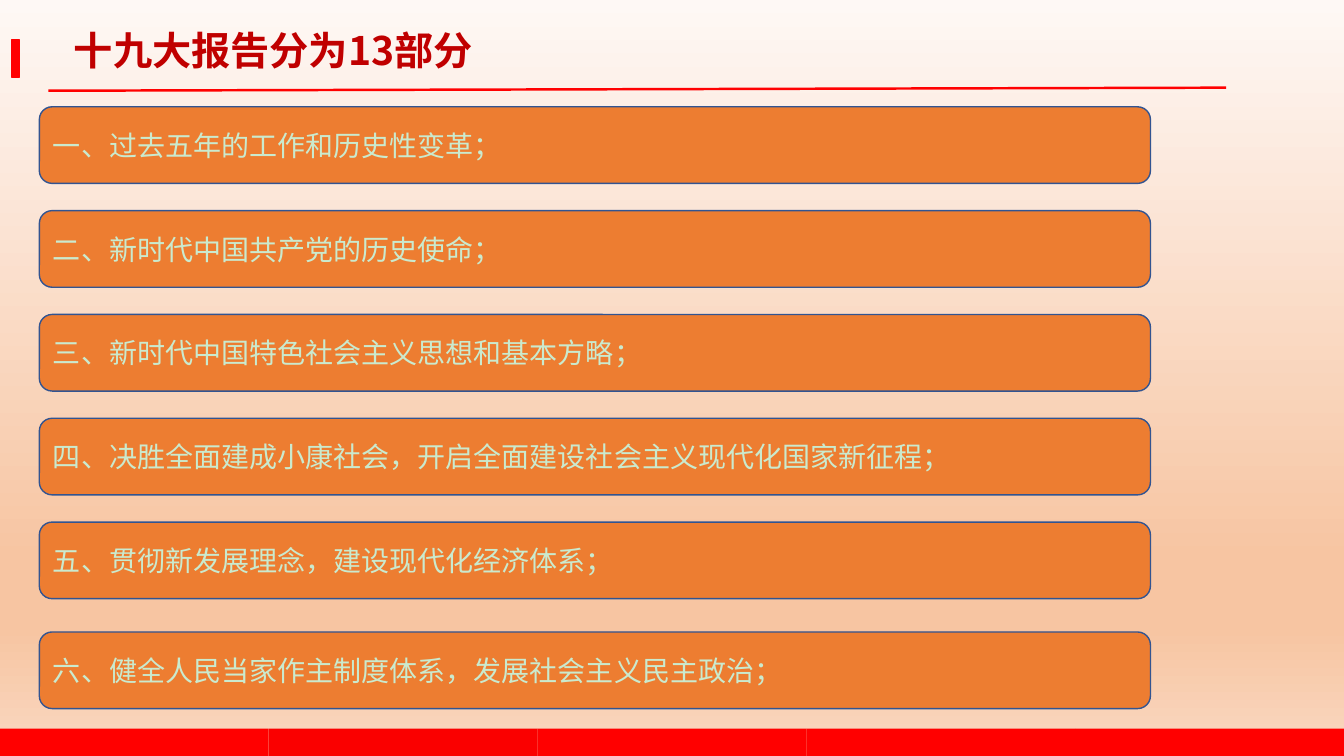
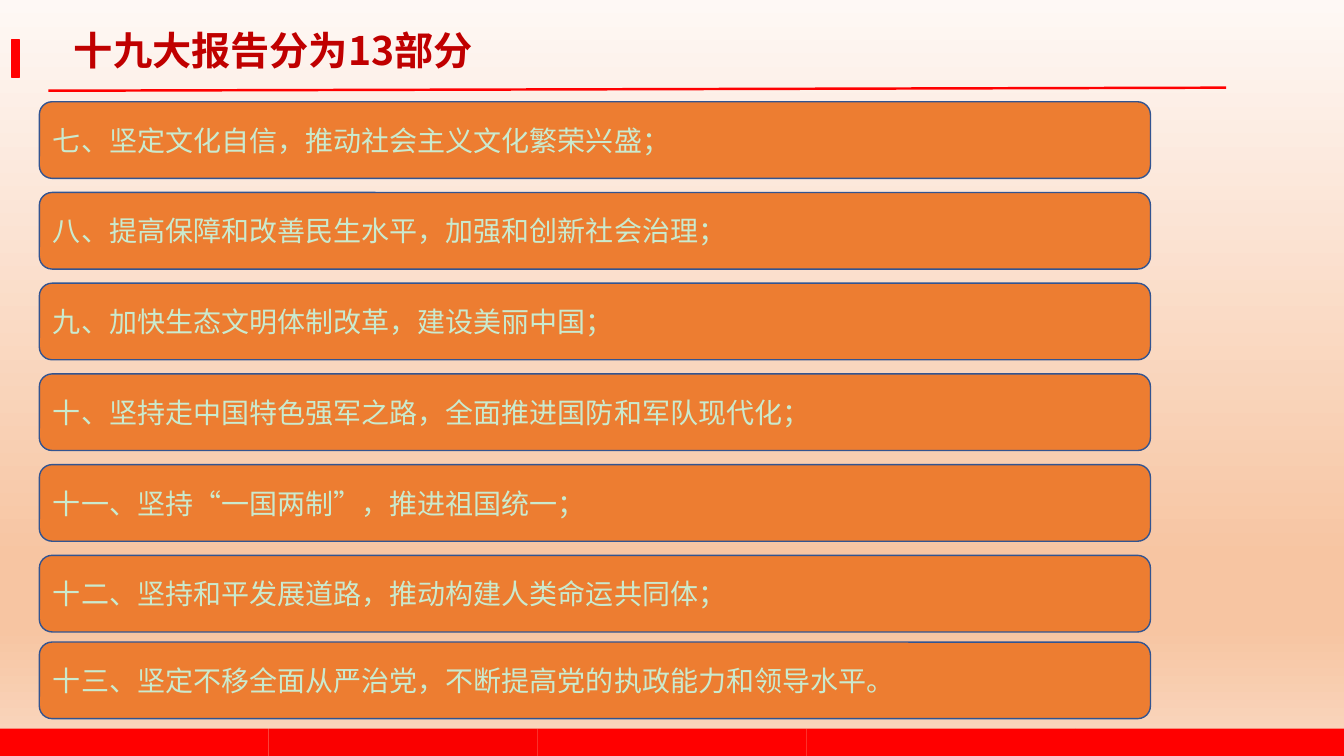
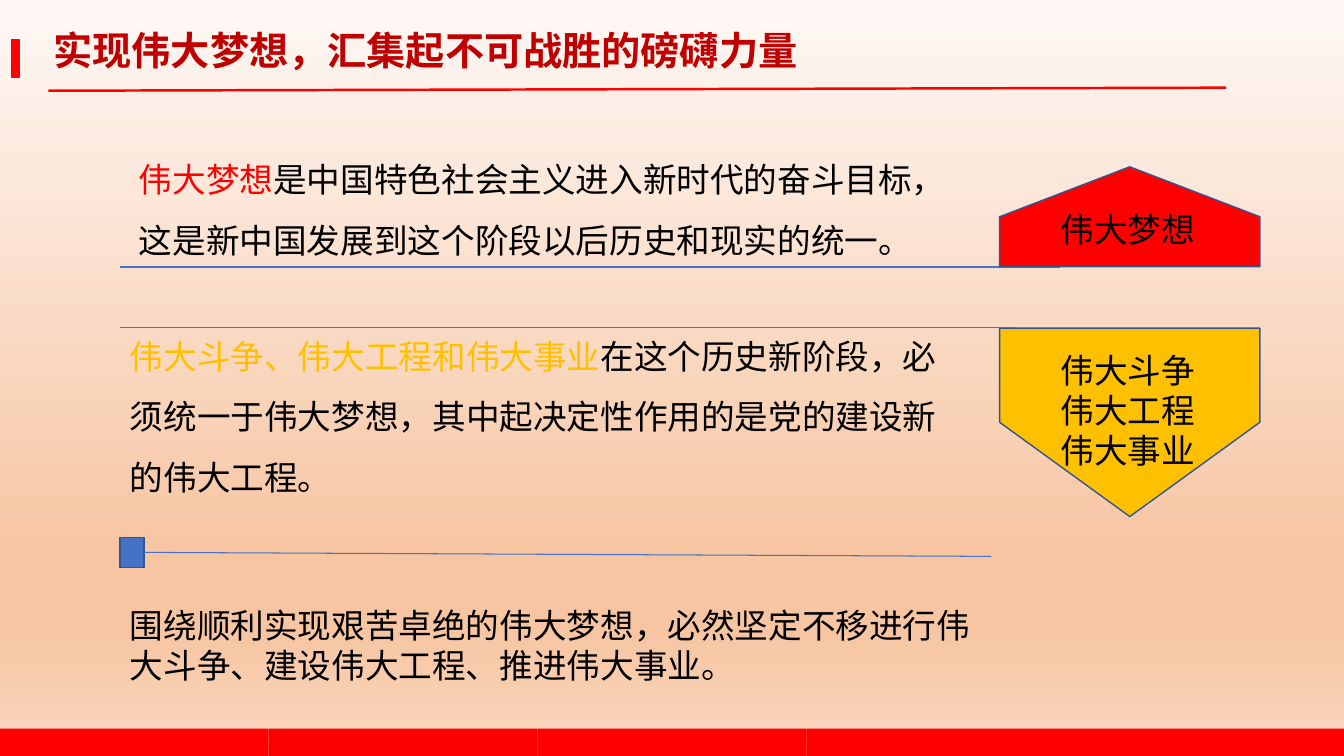
from dataclasses import dataclass
from typing import Optional

from lxml.etree import SubElement
from pptx import Presentation
from pptx.dml.color import RGBColor
from pptx.enum.shapes import MSO_CONNECTOR, MSO_SHAPE as Shape
from pptx.enum.text import MSO_ANCHOR as Anchor, MSO_AUTO_SIZE as AutoSize, PP_ALIGN as Align
from pptx.oxml.ns import qn
from pptx.util import Inches, Pt

FONT = "Noto Sans CJK SC"
WIDTH, HEIGHT = 13.33, 7.5
RED, DARK_RED, GOLD, BLACK = "FF0000", "C00000", "FFC000", "000000"
BLUE, OUTLINE, ORANGE, PALE_GREEN = "4472C4", "325491", "ED7D31", "CAEACE"
BACKGROUND = [(0, "FEF8F5"), (74, "F7C5A2"), (83, "F7C5A2"), (100, "FAD8C1")]
FOOTER = [RED, "FA0000", RED, RED, RED]
FOOTER_TOP = 7.23


@dataclass
class Agenda:
    """Numbered bars at an even pitch, with the last one placed on its own."""
    first: float
    pitch: float
    last: float
    items: list[str]


@dataclass
class Passage:
    """A text box whose paragraphs are lists of (text, colour) runs."""
    box: tuple[float, float, float, float]
    paragraphs: list[list[tuple[str, str]]]
    spacing: Optional[float] = None


@dataclass
class Pentagon:
    """A block arrow, given by its box before rotation."""
    box: tuple[float, float, float, float]
    rotation: int
    fill: str


AGENDAS = [
    Agenda(1.06, 1.03, 6.27, [
        "一、过去五年的工作和历史性变革；",
        "二、新时代中国共产党的历史使命；",
        "三、新时代中国特色社会主义思想和基本方略；",
        "四、决胜全面建成小康社会，开启全面建设社会主义现代化国家新征程；",
        "五、贯彻新发展理念，建设现代化经济体系；",
        "六、健全人民当家作主制度体系，发展社会主义民主政治；",
    ]),
    Agenda(1.01, 0.9, 6.37, [
        "七、坚定文化自信，推动社会主义文化繁荣兴盛；",
        "八、提高保障和改善民生水平，加强和创新社会治理；",
        "九、加快生态文明体制改革，建设美丽中国；",
        "十、坚持走中国特色强军之路，全面推进国防和军队现代化；",
        "十一、坚持“一国两制”，推进祖国统一；",
        "十二、坚持和平发展道路，推动构建人类命运共同体；",
        "十三、坚定不移全面从严治党，不断提高党的执政能力和领导水平。",
    ]),
]
PENTAGONS = [
    Pentagon((10.71, 0.86, 0.99, 2.58), 270, RED),
    Pentagon((10.27, 2.9, 1.87, 2.58), 90, GOLD),
]
PASSAGES = [
    Passage((1.28, 1.33, 8.46, 1.31), [[
        ("伟大梦想", RED),
        ("是中国特色社会主义进入新时代的奋斗目标，这是新中国发展到这个阶段以后历史和现实的统一。", BLACK),
    ]], 1.5),
    Passage((10.42, 2.02, 1.91, 0.5), [[("伟大梦想", BLACK)]]),
    Passage((1.19, 3.08, 8.29, 1.85), [[
        ("伟大斗争、伟大工程和伟大事业", GOLD),
        ("在这个历史新阶段，必须统一于伟大梦想，其中起决定性作用的是党的建设新的伟大工程。", BLACK),
    ]], 1.5),
    Passage((10.42, 3.42, 1.73, 1.31),
            [[(text, BLACK)] for text in ("伟大斗争", "伟大工程", "伟大事业")]),
    Passage((1.19, 5.95, 8.64, 0.91), [[
        ("围绕顺利实现艰苦卓绝的伟大梦想，必然坚定不移进行伟大斗争、建设伟大工程、推进伟大事业。", BLACK),
    ]]),
]


def rgb(colour: str) -> RGBColor:
    """Turn a hex string into a colour."""
    return RGBColor.from_string(colour)


def add_text(p, text: str, *, size: float, colour: str, bold: bool = False,
             align=Align.LEFT, spacing: Optional[float] = None) -> None:
    """Append a formatted run to a paragraph."""
    p.alignment = align
    p.line_spacing = spacing
    r = p.add_run()
    r.text = text
    r.font.size, r.font.bold, r.font.name = Pt(size), bold, FONT
    r.font.color.rgb = rgb(colour)
    props = r._r.get_or_add_rPr()
    props.set("lang", "zh-CN")
    SubElement(props, qn("a:ea")).set("typeface", FONT)


def add_box(shapes, kind, box, fill: str, line: Optional[str] = None):
    """Draw a filled preset shape, outlined when a line colour is given."""
    s = shapes.add_shape(kind, *map(Inches, box))
    s.shadow.inherit = False
    s.fill.solid()
    s.fill.fore_color.rgb = rgb(fill)
    if line:
        s.line.color.rgb = rgb(line)
        s.line.width = Pt(1)
    else:
        s.line.fill.background()
    return s


def add_line(shapes, start, end, colour: str, width: float = 1):
    """Draw a straight connector without a shadow."""
    s = shapes.add_connector(MSO_CONNECTOR.STRAIGHT, *map(Inches, (*start, *end)))
    s.line.color.rgb = rgb(colour)
    s.line.width = Pt(width)
    SubElement(s._element.spPr, qn("a:effectLst"))
    return s


def set_background(master) -> None:
    """Give the slide master its vertical gradient."""
    fill = master.background.fill
    fill.gradient()
    fill.gradient_angle = 270
    stops = next(master.element.iter(qn("a:gsLst")))
    for stop in list(stops):
        stops.remove(stop)
    for percent, colour in BACKGROUND:
        stop = SubElement(stops, qn("a:gs"), pos=str(percent * 1000))
        SubElement(stop, qn("a:srgbClr"), val=colour)


def add_slide(prs, title: str, title_width: float):
    """Add a slide with its title, red marks and footer band."""
    slide = prs.slides.add_slide(prs.slide_layouts[5])
    s = slide.shapes.title
    s.left, s.top, s.width, s.height = map(Inches, (0.26, 0.31, title_width, 0.47))
    tf = s.text_frame
    tf.margin_left = tf.margin_top = tf.margin_right = tf.margin_bottom = 0
    tf.word_wrap, tf.auto_size = True, AutoSize.SHAPE_TO_FIT_TEXT
    tf.vertical_anchor = Anchor.TOP
    add_text(tf.paragraphs[0], title, size=28, colour=DARK_RED, bold=True,
             align=Align.CENTER, spacing=0.9)
    add_box(slide.shapes, Shape.RECTANGLE, (0.12, 0.39, 0.07, 0.38), RED, RED)
    add_line(slide.shapes, (0.48, 0.9), (12.16, 0.87), RED, 1.75)
    band = slide.shapes.add_group_shape()
    tile = WIDTH / len(FOOTER)
    for i, colour in enumerate(FOOTER):
        add_box(band.shapes, Shape.RECTANGLE,
                (i * tile, FOOTER_TOP, tile, HEIGHT - FOOTER_TOP), colour)
    return slide


def add_agenda(shapes, agenda: Agenda) -> None:
    """Draw the numbered bars of an agenda."""
    tops = [agenda.first + i * agenda.pitch for i in range(len(agenda.items) - 1)]
    for top, item in zip([*tops, agenda.last], agenda.items):
        s = add_box(shapes, Shape.ROUNDED_RECTANGLE, (0.39, top, 11.02, 0.76), ORANGE, OUTLINE)
        s.text_frame.word_wrap = True
        s.text_frame.vertical_anchor = Anchor.MIDDLE
        add_text(s.text_frame.paragraphs[0], item, size=20, colour=PALE_GREEN)


def add_passage(shapes, passage: Passage) -> None:
    """Write a passage in a text box."""
    tf = shapes.add_textbox(*map(Inches, passage.box)).text_frame
    tf.word_wrap, tf.auto_size = True, AutoSize.SHAPE_TO_FIT_TEXT
    for i, runs in enumerate(passage.paragraphs):
        p = tf.add_paragraph() if i else tf.paragraphs[0]
        for text, colour in runs:
            add_text(p, text, size=24, colour=colour, spacing=passage.spacing)


def add_dream(shapes) -> None:
    """Draw the two pentagons, their rules and the passages."""
    add_line(shapes, (1.19, 2.65), (10.51, 2.65), BLUE)
    for pentagon in PENTAGONS:
        s = add_box(shapes, Shape.PENTAGON, pentagon.box, pentagon.fill, OUTLINE)
        s.rotation = pentagon.rotation
    add_line(shapes, (1.19, 3.25), (10.08, 3.25), BLUE)
    square = add_box(shapes, Shape.RECTANGLE, (1.19, 5.33, 0.24, 0.3), BLUE, OUTLINE)
    add_line(shapes, (1.43, 5.48), (9.83, 5.52), BLUE, 0.75).begin_connect(square, 3)
    for passage in PASSAGES:
        add_passage(shapes, passage)


def main() -> None:
    """Build and save the presentation."""
    prs = Presentation()
    prs.slide_width, prs.slide_height = Inches(WIDTH), Inches(HEIGHT)
    set_background(prs.slide_master)
    for agenda in AGENDAS:
        add_agenda(add_slide(prs, "十九大报告分为13部分", 4.9).shapes, agenda)
    add_dream(add_slide(prs, "实现伟大梦想，汇集起不可战胜的磅礴力量", 7.92).shapes)
    prs.save("out.pptx")


if __name__ == "__main__":
    main()
